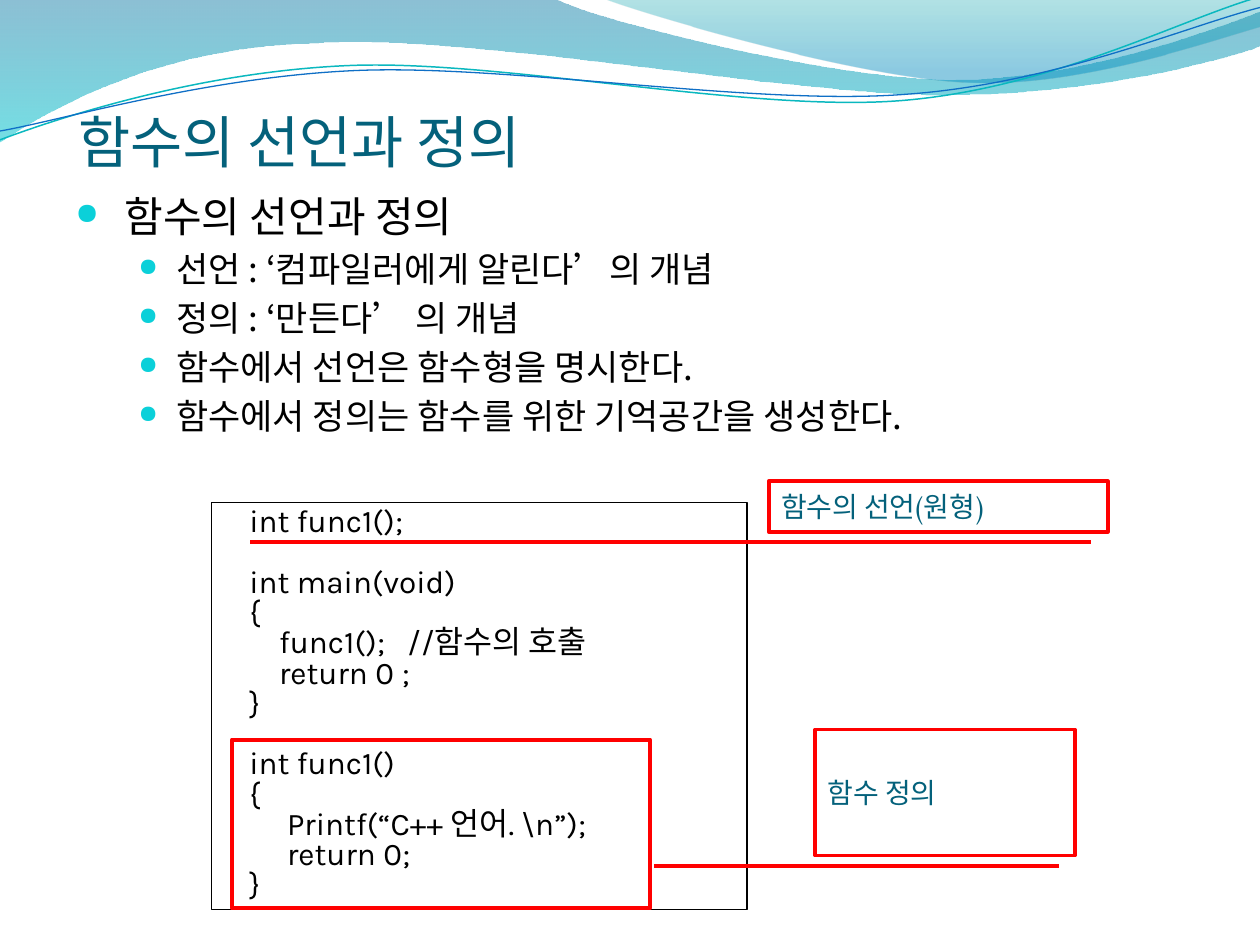
import math

from lxml import etree
from pptx import Presentation
from pptx.dml.color import RGBColor
from pptx.enum.shapes import MSO_SHAPE
from pptx.enum.text import MSO_ANCHOR, PP_ALIGN
from pptx.oxml.ns import qn
from pptx.util import Inches, Pt

RECT, CALLOUT = MSO_SHAPE.RECTANGLE, MSO_SHAPE.LINE_CALLOUT_1
TOP, MIDDLE, BOTTOM = MSO_ANCHOR.TOP, MSO_ANCHOR.MIDDLE, MSO_ANCHOR.BOTTOM
LEFT = PP_ALIGN.LEFT

COLORS = {
    "title": "04617B", "text": "000000", "bullet": "0BD0D9", "paper": "FFFFFF",
    "mark": "FF0000", "teal_line": "0AB8BF", "blue_line": "0F6FC6",
    "deep": "0074A1", "aqua": "00C6CF", "sea": "00A1A9", "sky": "008BBF",
}
HANGUL, CODE, LABEL = "Noto Sans CJK KR", "Karla", "Vollkorn"
UNIT = Inches(0.1)  # the slide is a grid of 100 columns by 75 rows
TILT = -2.7  # degrees, for both strands

TITLE = "함수의 선언과 정의"
POINTS = [
    (0, "함수의 선언과 정의"),
    (1, "선언 : ‘컴파일러에게 알린다’의 개념"),
    (1, "정의 : ‘만든다’ 의 개념"),
    (1, "함수에서 선언은 함수형을 명시한다."),
    (1, "함수에서 정의는 함수를 위한 기억공간을 생성한다."),
]
# Each block: lines of (level, text)
CODE_BLOCKS = [
    [(0, "int func1();")],
    [(0, "int main(void)"), (0, "{"), (0, "    func1();   //함수의 호출"),
     (0, "    return 0 ;"), (0, "}")],
    [(0, "int func1()"), (0, "{"), (1, "Printf(“C++ 언어. \\n”);"),
     (1, "return 0;"), (0, "}")],
]
# Each wave: a start point, then steps of one point (line) or three (curve)
BANDS = [
    ([[(0, 0)], [(44, -0.1)], [(47.6, 1.7), (66.4, 6.3), (75.8, 6.3)],
      [(85.3, 6.3), (95.8, 2.6), (100, 0.9)], [(100.1, 3.6)],
      [(98.3, 4.4), (87, 7.6), (74.6, 7.5)],
      [(62.2, 7.5), (38.2, 2.8), (25.7, 3.4)],
      [(12.9, 3.6), (4.6, 8.3), (-0.1, 11.3)]],
     [(0, "deep", 45), (1, "aqua", 55)]),
    ([[(47.9, -0.1)], [(50.9, 1.1), (68.2, 6.2), (76.9, 6.5)],
      [(85.6, 6.9), (96.1, 3.2), (100, 2.1)], [(100, 0)]],
     [(0, "sea", 30), (0.8, "sky", 45)]),
]
STRANDS = [
    ([[(0, 11.1)], [(4.8, 9.3), (15.8, 5.7), (27.7, 5.2)],
      [(39.5, 4.7), (59.3, 8.9), (71.3, 8)],
      [(83.3, 7.1), (93.8, 1.5), (99.8, -0.2)]], (49.9, 5.75), "teal_line", 0.85),
    ([[(0, 10.4)], [(4.7, 9.6), (16.4, 6.1), (28.3, 5.6)],
      [(40.3, 5.1), (59.7, 8.4), (71.7, 7.5)],
      [(83.6, 6.7), (94.1, 2.1), (100, 0.6)]], (50, 5.9), "blue_line", 0.75),
]


def color(name):
    return RGBColor.from_string(COLORS[name])


def grid(box):
    return [round(value * UNIT) for value in box]


def apply(target, values):
    for name, value in values.items():
        setattr(target, name, value)


def set_line(shape, name, width):
    shape.line.color.rgb = color(name)
    shape.line.width = Pt(width)


def indent(para, margin, first):
    props = para._p.get_or_add_pPr()
    props.set("marL", str(Inches(margin)))
    props.set("indent", str(Inches(first)))
    return props


def add_bullet(props):
    tint = etree.SubElement(props, qn("a:buClr"))
    etree.SubElement(tint, qn("a:srgbClr"), val=COLORS["bullet"])
    etree.SubElement(props, qn("a:buSzPct"), val="71000")
    etree.SubElement(props, qn("a:buChar"), char="●")


def write(para, text, font, size, name="text"):
    span = para.add_run()
    span.text = text
    apply(span.font, {"name": font, "size": Pt(size)})
    span.font.color.rgb = color(name)


def next_para(frame, first):
    return frame.paragraphs[0] if first else frame.add_paragraph()


def turn(point, center, degrees):
    angle = math.radians(degrees)
    x, y = point[0] - center[0], point[1] - center[1]
    return (center[0] + x * math.cos(angle) - y * math.sin(angle),
            center[1] + x * math.sin(angle) + y * math.cos(angle))


def trace(page, steps, close):
    """Draw an outline, joining each step of three points into a cubic curve."""
    points = [grid(point) for step in steps for point in step]
    builder = page.shapes.build_freeform(*points[0])
    builder.add_line_segments(points[1:], close=close)
    shape = builder.convert_to_shape()
    shape.shadow.inherit = False
    segments = iter(list(shape._element.iter(qn("a:lnTo"))))
    for step in steps[1:]:
        parts = [next(segments) for _ in step]
        if len(parts) == 3:
            parts[0].addprevious(curve := etree.Element(qn("a:cubicBezTo")))
            for part in parts:
                curve.append(part[0])
                part.getparent().remove(part)
    return shape


def add_waves(page):
    for steps, stops in BANDS:
        band = trace(page, steps, True)
        band.line.fill.background()
        band.fill.gradient()
        band.fill.gradient_angle = 270
        for stop, (place, name, opacity) in zip(band.fill.gradient_stops, stops):
            stop.position = place
            stop.color.rgb = color(name)
            tint = stop._gs.find(qn("a:srgbClr"))
            etree.SubElement(tint, qn("a:alpha"), val=str(opacity * 1000))
    for steps, center, name, width in STRANDS:
        level = [[turn(point, center, -TILT) for point in step] for step in steps]
        strand = trace(page, level, False)
        strand.rotation = TILT
        strand.fill.background()
        set_line(strand, name, width)


def add_title(page, box):
    title = page.shapes.title
    apply(title, dict(zip(("left", "top", "width", "height"), grid(box))))
    frame = title.text_frame
    apply(frame, {"margin_left": Inches(0.12), "margin_right": 0,
                  "margin_bottom": 0, "vertical_anchor": BOTTOM, "word_wrap": True})
    frame.paragraphs[0].alignment = LEFT
    write(frame.paragraphs[0], TITLE, HANGUL, 32.4, "title")


def add_points(page, box):
    frame = page.shapes.add_textbox(*grid(box)).text_frame
    frame.word_wrap = True
    for index, (level, text) in enumerate(POINTS):
        size, margin, hang = (20, 0.8, -0.3) if level else (24, 0.39, -0.39)
        para = next_para(frame, index == 0)
        apply(para, {"level": level, "line_spacing": Pt(size * 1.2)})
        if index:
            para.space_before = Pt(size * 0.2)
        add_bullet(indent(para, margin, hang))
        write(para, text, HANGUL, size)


def add_box(page, kind, box, line, width, anchor=TOP):
    shape = page.shapes.add_shape(kind, *grid(box))
    shape.shadow.inherit = False
    shape.fill.background()
    set_line(shape, line, width)
    apply(shape.text_frame, {"word_wrap": True, "vertical_anchor": anchor})
    return shape


def add_code(page, box):
    panel = add_box(page, RECT, box, "text", 0.75)
    panel.fill.solid()
    panel.fill.fore_color.rgb = color("paper")
    pitch = Pt(17.3)
    for number, block in enumerate(CODE_BLOCKS):
        for row, (level, text) in enumerate(block):
            para = next_para(panel.text_frame, number == row == 0)
            apply(para, {"alignment": LEFT, "level": level, "line_spacing": pitch})
            if number and row == 0:
                para.space_before = pitch
            indent(para, *((0.5, 0) if level else (0, 0.2)))
            write(para, text, CODE, 18)


def add_callout(page, box, text, pointer):
    """Pointer holds y, x of its start and end as shares of the box."""
    callout = add_box(page, CALLOUT, box, "mark", 2.25, MIDDLE)
    for index, value in enumerate(pointer):
        callout.adjustments[index] = value
    para = callout.text_frame.paragraphs[0]
    para.alignment = LEFT
    write(para, text, LABEL, 16, "title")


def main():
    deck = Presentation()
    deck.slide_width, deck.slide_height = 100 * UNIT, 75 * UNIT
    page = deck.slides.add_slide(deck.slide_layouts[5])
    add_waves(page)
    add_title(page, (5, 7.7, 90, 6.2))
    add_points(page, (5, 14.6, 93, 57.5))
    add_code(page, (16.8, 39.9, 42.5, 32.3))
    add_callout(page, (61, 38.2, 26.9, 4), "함수의 선언(원형)",
                (1.21, 0.95, 1.21, -1.53))
    add_box(page, RECT, (18.4, 58.7, 33.2, 13.4), "mark", 2.25)
    add_callout(page, (64.7, 57.9, 20.6, 10), "함수 정의",
                (1.08, 0.94, 1.08, -0.62))
    deck.save("out.pptx")


if __name__ == "__main__":
    main()
